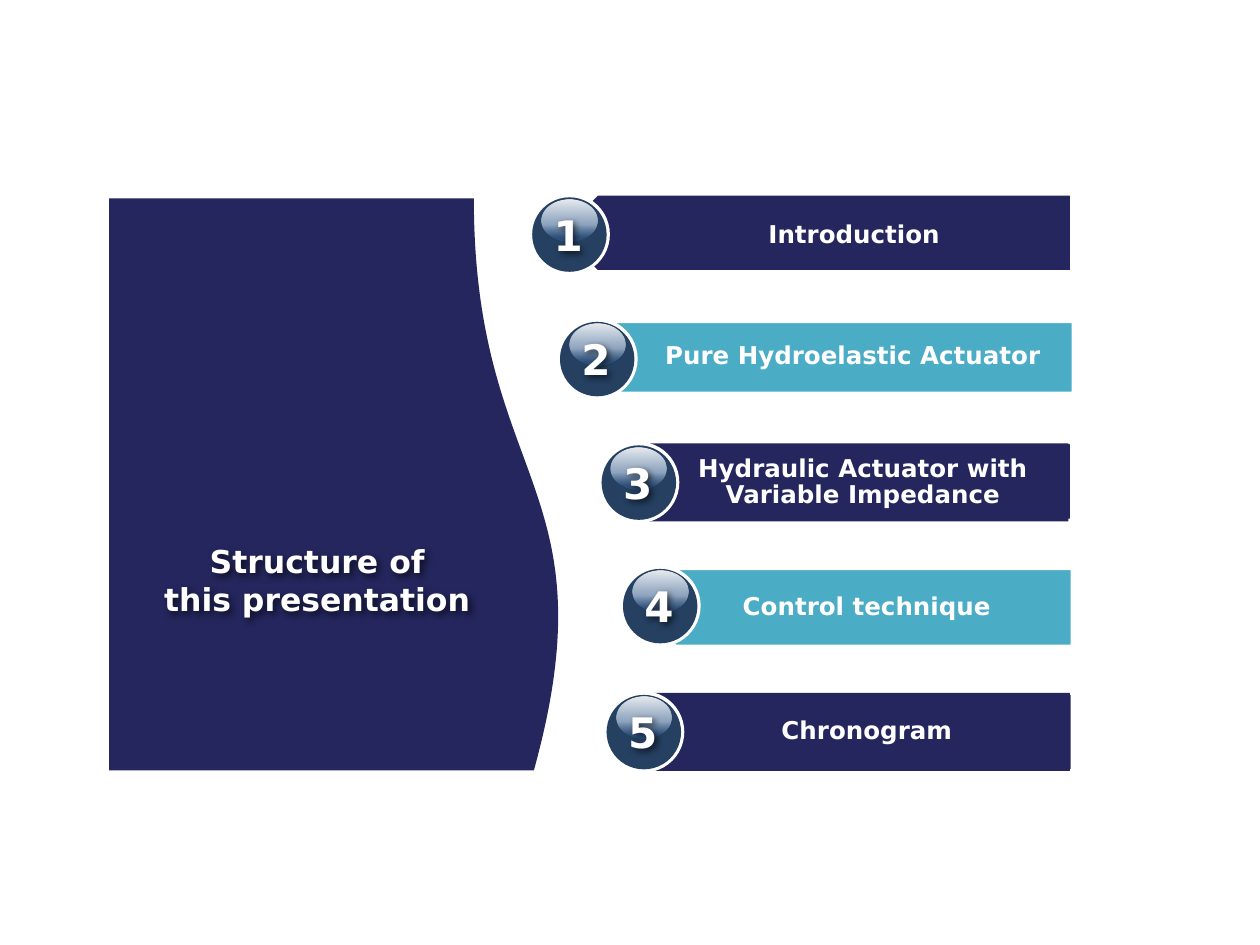
from dataclasses import dataclass

from pptx import Presentation
from pptx.dml.color import RGBColor
from pptx.enum.shapes import MSO_SHAPE
from pptx.enum.text import MSO_ANCHOR, MSO_AUTO_SIZE, PP_ALIGN
from pptx.oxml import parse_xml
from pptx.oxml.ns import nsdecls
from pptx.util import Cm, Pt

PENTAGON = MSO_SHAPE.PENTAGON
OVAL = MSO_SHAPE.OVAL
RECTANGLE = MSO_SHAPE.RECTANGLE
DOCUMENT = MSO_SHAPE.FLOWCHART_DOCUMENT
CENTER = PP_ALIGN.CENTER
TOP = MSO_ANCHOR.TOP
MIDDLE = MSO_ANCHOR.MIDDLE
NO_AUTOFIT = MSO_AUTO_SIZE.NONE
TITLE_ONLY = 5


@dataclass(frozen=True)
class Theme:
    font: str = "DejaVu Sans"
    navy: str = "24265D"
    teal: str = "4BACC6"
    white: str = "FFFFFF"
    rim: str = "C2CDE1"
    ball: str = "254061"
    shadow: str = "000000"
    gloss: tuple = ((0, "FFFFFF", 90), (60, "B9CDE5", 70), (90, "376092", 50))
    title_size: int = 18
    label_size: int = 14
    number_size: int = 24
    outline: int = 2


THEME = Theme()

ITEMS = [
    ("Introduction", THEME.navy,
     (11.25, 3.91, 10.36, 1.57), (12.73, 4.17, 8.71, 1.14), (10.69, 3.94)),
    ("Pure Hydroelastic Actuator", THEME.teal,
     (11.58, 6.48, 10.06, 1.45), (12.45, 6.4, 9.22, 1.57), (11.25, 6.45)),
    ("Hydraulic Actuator with Variable Impedance", THEME.navy,
     (12.75, 8.92, 8.86, 1.57), (12.98, 8.94, 8.56, 1.57), (12.09, 8.94)),
    ("Control technique", THEME.teal,
     (12.83, 11.46, 8.79, 1.57), (13.11, 11.46, 8.46, 1.57), (12.52, 11.43)),
    ("Chronogram", THEME.navy,
     (12.83, 13.97, 8.79, 1.57), (13.11, 13.97, 8.46, 1.57), (12.19, 13.97)),
]


def apply(target, values):
    for name, value in values.items():
        setattr(target, name, value)


class SlideBuilder:
    def __init__(self, slide, theme):
        self.slide = slide
        self.theme = theme

    def shape(self, kind, bounds, color, outlined=False, rotation=0):
        shape = self.slide.shapes.add_shape(kind, *map(Cm, bounds))
        shape.shadow.inherit = False
        shape.rotation = rotation
        shape.fill.solid()
        shape.fill.fore_color.rgb = RGBColor.from_string(color)
        if outlined:
            shape.line.color.rgb = RGBColor.from_string(self.theme.white)
            shape.line.width = Pt(self.theme.outline)
        else:
            shape.line.fill.background()
        return shape

    def set_text(self, box, lines, size, frame_format, para_format):
        frame = box.text_frame
        apply(frame, frame_format)
        frame.text = "\n".join(lines)
        for para in frame.paragraphs:
            apply(para, {"alignment": CENTER, **para_format})
            for span in para.runs:
                apply(span.font, {"name": self.theme.font, "size": Pt(size), "bold": True})
                span.font.color.rgb = RGBColor.from_string(self.theme.white)

    def text_shadow(self, box):
        box._element.spPr.append(parse_xml(
            f'<a:effectLst {nsdecls("a")}>'
            '<a:outerShdw blurRad="50800" dist="25400" dir="2700000">'
            f'<a:srgbClr val="{self.theme.shadow}"><a:alpha val="60000"/></a:srgbClr>'
            '</a:outerShdw></a:effectLst>'))

    def title(self, lines, bounds):
        title = self.slide.shapes.title
        apply(title, dict(zip(("left", "top", "width", "height"), map(Cm, bounds))))
        frame_format = {"auto_size": NO_AUTOFIT, "word_wrap": True, "vertical_anchor": TOP}
        self.set_text(title, lines, self.theme.title_size, frame_format, {})
        title.fill.background()
        self.text_shadow(title)
        self.slide.shapes._spTree.append(title._element)

    def bar(self, text, color, bounds, label_bounds):
        self.shape(PENTAGON, bounds, color, outlined=True, rotation=180)
        if color == self.theme.navy:
            label = self.shape(RECTANGLE, label_bounds, color)
        else:
            label = self.slide.shapes.add_textbox(*map(Cm, label_bounds))
        frame_format = {
            "word_wrap": True, "vertical_anchor": MIDDLE,
            "margin_left": Cm(0.5), "margin_right": Cm(0.23),
            "margin_top": Cm(0.13), "margin_bottom": Cm(0.13),
        }
        para_format = {"line_spacing": 0.9, "space_after": Pt(5)}
        self.set_text(label, [text], self.theme.label_size, frame_format, para_format)

    def gloss(self, bounds):
        highlight = self.shape(OVAL, bounds, self.theme.white)
        stops = "".join(
            f'<a:gs pos="{position * 1000}"><a:srgbClr val="{color}">'
            f'<a:alpha val="{opacity * 1000}"/></a:srgbClr></a:gs>'
            for position, color, opacity in self.theme.gloss)
        properties = highlight._element.spPr
        solid = properties.find("{*}solidFill")
        properties.replace(solid, parse_xml(
            f'<a:gradFill {nsdecls("a")}><a:gsLst>{stops}</a:gsLst>'
            '<a:lin ang="5400000" scaled="0"/></a:gradFill>'))

    def ball(self, number, left, top):
        self.shape(OVAL, (left, top, 1.57, 1.57), self.theme.rim, outlined=True)
        self.shape(OVAL, (left + 0.04, top + 0.04, 1.5, 1.5), self.theme.ball)
        self.gloss((left + 0.23, top + 0.08, 1.12, 0.84))
        bounds = (left + 0.22, top + 0.15, 1.09, 1.27)
        box = self.slide.shapes.add_textbox(*map(Cm, bounds))
        self.set_text(box, [str(number)], self.theme.number_size, {"word_wrap": False}, {})
        self.text_shadow(box)


def main():
    deck = Presentation()
    apply(deck, {"slide_width": Cm(25.4), "slide_height": Cm(19.05)})
    page = deck.slides.add_slide(deck.slide_layouts[TITLE_ONLY])
    builder = SlideBuilder(page, THEME)
    builder.shape(DOCUMENT, (1.02, 5.18, 11.53, 9.17), THEME.navy, rotation=270)
    builder.title(["Structure of", "this presentation"], (2.18, 10.8, 8.43, 1.8))
    for number, (text, color, bounds, label_bounds, corner) in enumerate(ITEMS, 1):
        builder.bar(text, color, bounds, label_bounds)
        builder.ball(number, *corner)
    deck.save("out.pptx")


if __name__ == "__main__":
    main()
